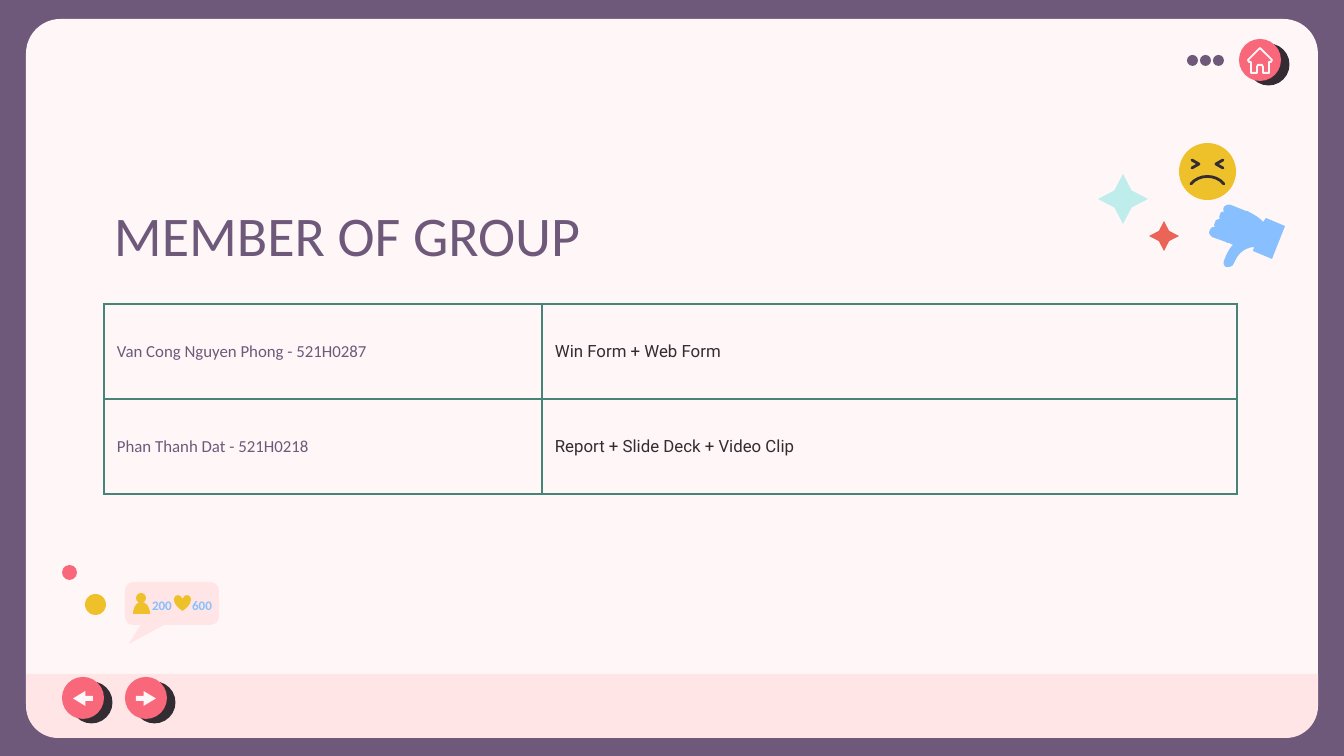
from dataclasses import dataclass

import lxml.etree
import pptx
import pptx.dml.color
import pptx.enum.shapes
import pptx.enum.text
import pptx.oxml
import pptx.oxml.ns
import pptx.util

SCALE = 914400 / 134.4
PURPLE, CREAM, BLUSH, CORAL = "6E597A", "FFF6F7", "FFE5E6", "F9677A"
YELLOW, DARK, BLUE, GREEN = "EEC12B", "332C33", "88BFFF", "468478"
MINT, RED = "BFEDEB", "EA6557"
MSO = pptx.enum.shapes.MSO_SHAPE
ANCHOR = pptx.enum.text.MSO_ANCHOR
ALIGN = pptx.enum.text.PP_ALIGN
qn = pptx.oxml.ns.qn


@dataclass
class Item:
    kind: int
    x: int
    y: int
    w: int
    h: int
    fill: str
    adj: tuple = ()
    rotation: int = 0


@dataclass
class Button:
    x: int
    y: int
    arrow: int | None = None


@dataclass
class Stroke:
    points: list
    color: str
    width: float


def px(n: float) -> int:
    return round(n * SCALE)


def rgb(color: str):
    return pptx.dml.color.RGBColor.from_string(color)


def draw_item(s, item: Item):
    sp = s.shapes.add_shape(item.kind, px(item.x), px(item.y), px(item.w), px(item.h))
    for i, value in enumerate(item.adj):
        sp.adjustments[i] = value
    sp.rotation = item.rotation
    sp.shadow.inherit = False
    sp.fill.solid()
    sp.fill.fore_color.rgb = rgb(item.fill)
    sp.line.fill.background()
    return sp


def draw_button(s, button: Button) -> None:
    sp = draw_item(s, Item(MSO.OVAL, button.x, button.y, 42, 42, CORAL))
    effects = sp._element.spPr.find(qn("a:effectLst"))
    shadow = lxml.etree.SubElement(effects, qn("a:outerShdw"), dist="66040",
                                   dir="1680000", algn="bl", rotWithShape="0")
    lxml.etree.SubElement(shadow, qn("a:srgbClr"), val=DARK)
    if button.arrow is not None:
        draw_item(s, Item(button.arrow, button.x + 11, button.y + 14, 20, 15,
                          CREAM, (0.331, 0.828)))


def flatten(path: list, steps: int = 8) -> list:
    points = [path[0]]
    for segment in path[1:]:
        if len(segment) == 2:
            points.append(segment)
            continue
        x0, y0 = points[-1]
        x1, y1, x2, y2, x3, y3 = segment
        for i in range(1, steps + 1):
            t = i / steps
            a, b, c, d = (1 - t) ** 3, 3 * t * (1 - t) ** 2, 3 * t * t * (1 - t), t ** 3
            points.append((a * x0 + b * x1 + c * x2 + d * x3,
                           a * y0 + b * y1 + c * y2 + d * y3))
    return points


def build_outline(s, path: list, close: bool):
    points = [(x * 100, y * 100) for x, y in flatten(path)]
    builder = s.shapes.build_freeform(*points[0], scale=SCALE / 100)
    builder.add_line_segments(points[1:], close=close)
    sp = builder.convert_to_shape()
    sp.shadow.inherit = False
    return sp


def draw_filled(s, path: list, fill: str) -> None:
    sp = build_outline(s, path, True)
    sp.fill.solid()
    sp.fill.fore_color.rgb = rgb(fill)
    sp.line.fill.background()


def draw_stroke(s, stroke: Stroke) -> None:
    sp = build_outline(s, stroke.points, stroke.points[0] == stroke.points[-1])
    sp.fill.background()
    sp.line.color.rgb = rgb(stroke.color)
    sp.line.width = pptx.util.Pt(stroke.width)
    ln = sp.line._get_or_add_ln()
    ln.set("cap", "rnd")
    lxml.etree.SubElement(ln, qn("a:round"))


def write(tf, text: str, *, size: float, color: str, font: str = "Calibri",
          bold: bool = False, align=ALIGN.LEFT, after: float = 0) -> None:
    p = tf.paragraphs[0]
    p.alignment = align
    p.space_after = pptx.util.Pt(after)
    r = p.add_run()
    r.text = text
    r.font.size = pptx.util.Pt(size)
    r.font.name = font
    r.font.bold = bold
    r.font.color.rgb = rgb(color)


def add_text(s, x: int, y: int, w: int, h: int, text: str, *, inset: int = 0,
             anchor=ANCHOR.TOP, **style) -> None:
    tf = s.shapes.add_textbox(px(x), px(y), px(w), px(h)).text_frame
    tf.word_wrap = True
    tf.vertical_anchor = anchor
    tf.margin_left = tf.margin_right = tf.margin_top = tf.margin_bottom = px(inset)
    write(tf, text, **style)


def style_cell(cell) -> None:
    cell.vertical_anchor = ANCHOR.MIDDLE
    cell.margin_left = cell.margin_right = px(13)
    cell.margin_top = cell.margin_bottom = 0
    tc_pr = cell._tc.get_or_add_tcPr()
    for side in ("lnL", "lnR", "lnT", "lnB"):
        ln = lxml.etree.SubElement(tc_pr, qn(f"a:{side}"), w="9525")
        fill = lxml.etree.SubElement(ln, qn("a:solidFill"))
        lxml.etree.SubElement(fill, qn("a:srgbClr"), val=GREEN)
    cell.fill.background()


def add_members(s, rows: list) -> None:
    widths, height = (438, 695), 95
    table = s.shapes.add_table(len(rows), 2, px(104), px(304), px(sum(widths)),
                               px(height * len(rows))).table
    table.first_row = table.horz_banding = False
    for column, width in zip(table.columns, widths):
        column.width = px(width)
    for i, (member, task) in enumerate(rows):
        table.rows[i].height = px(height)
        for j in range(2):
            style_cell(table.cell(i, j))
        write(table.cell(i, 0).text_frame, member, size=9, color=PURPLE)
        write(table.cell(i, 1).text_frame, task, size=9, color=DARK, font="Roboto", after=16)


HAND = [
    (1266, 218), (1263, 222), (1263, 222, 1261, 218, 1249, 212),
    (1248, 211, 1247, 211, 1246, 211), (1231, 205), (1228, 204, 1226, 205, 1224, 207),
    (1223, 209, 1223, 211, 1225, 212), (1223, 211, 1220, 212, 1220, 215),
    (1219, 216, 1219, 218, 1220, 219), (1218, 219, 1215, 220, 1215, 223),
    (1214, 224, 1214, 226, 1215, 227), (1213, 227, 1211, 227, 1210, 230),
    (1208, 233, 1210, 235, 1212, 237), (1226, 242), (1227, 243, 1228, 243, 1229, 243),
    (1233, 245), (1228, 249, 1224, 261, 1224, 261), (1223, 263, 1224, 266, 1226, 267),
    (1229, 267, 1231, 267, 1233, 265), (1235, 261), (1241, 247, 1254, 247, 1254, 247),
    (1253, 251), (1272, 259), (1285, 226)]
SHOULDERS = [(141, 602), (137, 602, 133, 607, 133, 614), (150, 614),
             (150, 607, 146, 602, 141, 602)]
HOUSE = [(1260, 48), (1272, 60), (1271, 62), (1269, 62), (1269, 73), (1263, 73),
         (1263, 67), (1262, 65), (1258, 65), (1257, 67), (1257, 73), (1251, 73),
         (1251, 62), (1249, 62), (1248, 60), (1260, 48)]
FACE = [Stroke([(1192, 160), (1199, 164), (1192, 168)], DARK, 1.5),
        Stroke([(1223, 160), (1216, 164), (1223, 168)], DARK, 1.5),
        Stroke([(1191, 184), (1199, 174, 1216, 174, 1224, 184)], DARK, 1.5)]
FRAME = [Item(MSO.ROUNDED_RECTANGLE, 26, 19, 1292, 719, CREAM, (0.048,)),
         Item(MSO.ROUND_2_SAME_RECTANGLE, 26, 674, 1292, 64, BLUSH, (0.5, 0), 180),
         *(Item(MSO.OVAL, 1187 + 13 * i, 55, 11, 11, PURPLE) for i in range(3)),
         Item(MSO.OVAL, 62, 565, 15, 15, CORAL),
         Item(MSO.OVAL, 85, 594, 21, 21, YELLOW)]
DECOR = [Item(MSO.OVAL, 1179, 143, 57, 57, YELLOW),
         Item(MSO.STAR_4_POINT, 1098, 174, 50, 50, MINT, (0.242,)),
         Item(MSO.STAR_4_POINT, 1149, 221, 30, 30, RED, (0.242,)),
         Item(MSO.ROUNDED_RECTANGULAR_CALLOUT, 125, 582, 94, 43, BLUSH, (-0.46, 0.94, 0.19)),
         Item(MSO.HEART, 174, 595, 17, 16, YELLOW),
         Item(MSO.OVAL, 136, 593, 10, 10, YELLOW)]
BUTTONS = [Button(1239, 39), Button(125, 677, MSO.RIGHT_ARROW),
           Button(62, 677, MSO.LEFT_ARROW)]
MEMBERS = [("Van Cong Nguyen Phong - 521H0287", "Win Form + Web Form"),
           ("Phan Thanh Dat - 521H0218", "Report + Slide Deck + Video Clip")]


def main() -> None:
    prs = pptx.Presentation()
    prs.slide_width, prs.slide_height = px(1344), px(756)
    s = prs.slides.add_slide(prs.slide_layouts[6])
    s.background.fill.solid()
    s.background.fill.fore_color.rgb = rgb(PURPLE)
    for item in FRAME:
        draw_item(s, item)
    add_text(s, 101, 188, 1133, 84, "MEMBER OF GROUP", inset=13, size=30, color=PURPLE)
    add_members(s, MEMBERS)
    for item in DECOR:
        draw_item(s, item)
    draw_filled(s, HAND, BLUE)
    draw_filled(s, SHOULDERS, YELLOW)
    for x, count in ((148, "200"), (188, "600")):
        add_text(s, x, 594, 28, 22, count, anchor=ANCHOR.MIDDLE, size=7, color=BLUE,
                 bold=True, align=ALIGN.CENTER)
    for button in BUTTONS:
        draw_button(s, button)
    for stroke in [*FACE, Stroke(HOUSE, CREAM, 1)]:
        draw_stroke(s, stroke)
    prs.save("out.pptx")


if __name__ == "__main__":
    main()
